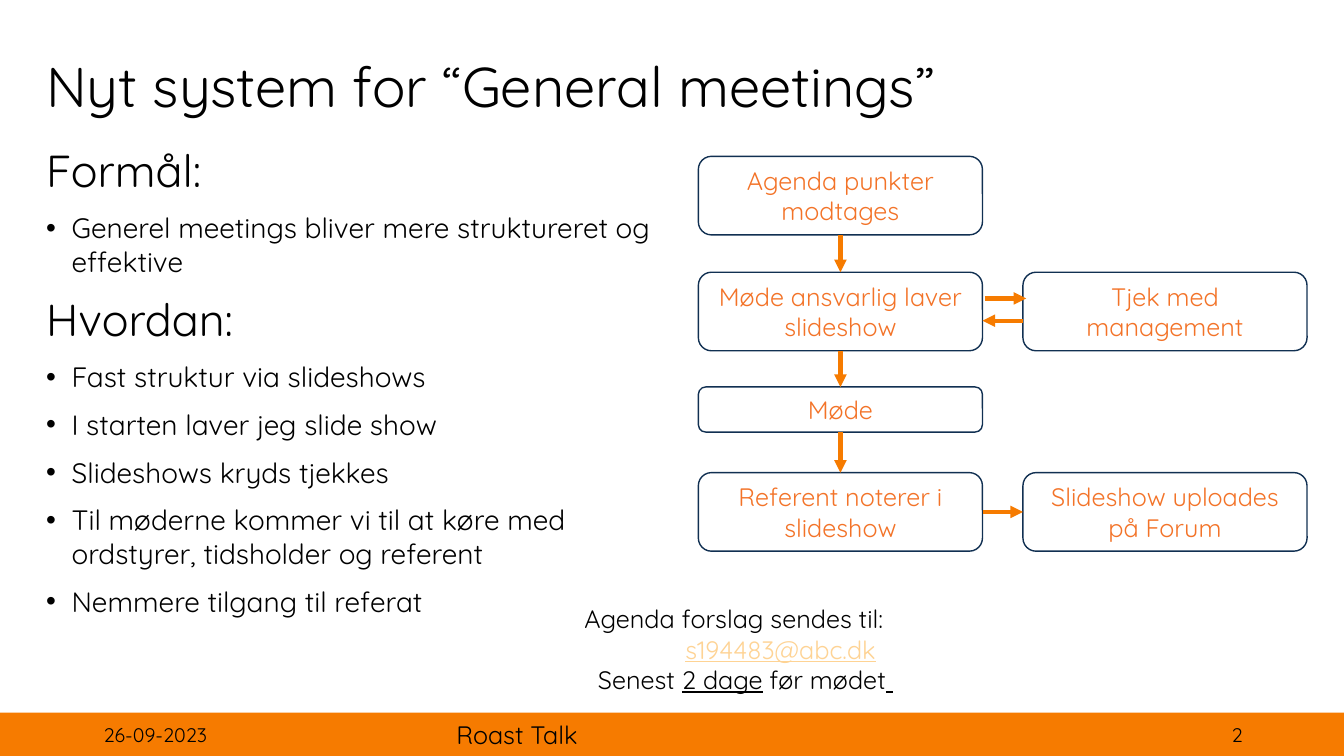
from lxml.etree import SubElement
from pptx import Presentation
from pptx.dml.color import RGBColor
from pptx.enum.shapes import MSO_CONNECTOR, MSO_SHAPE
from pptx.enum.text import MSO_ANCHOR, MSO_AUTO_SIZE, PP_ALIGN
from pptx.oxml.ns import qn
from pptx.util import Cm, Pt

FONT = "Quicksand"
BLACK, WHITE, ORANGE = "000000", "FFFFFF", "F67B00"
BOX_TEXT, BOX_LINE, MAIL = "F37328", "113052", "FED394"
TOP, LEFT, BOTTOM, RIGHT = range(4)


def rgb(hex_color):
    return RGBColor.from_string(hex_color)


class SlideBuilder:
    def __init__(self, slide):
        self.slide = slide
        self.shapes = slide.shapes

    def style(self, paragraph, size, color=BLACK, align=PP_ALIGN.LEFT):
        paragraph.alignment = align
        font = paragraph.font
        font.name, font.size = FONT, Pt(size)
        font.color.rgb = rgb(color)

    def place(self, shape, left, top, width, height):
        shape.left, shape.top = Cm(left), Cm(top)
        shape.width, shape.height = Cm(width), Cm(height)

    def title(self, text, *area):
        title = self.shapes.title
        self.place(title, *area)
        frame = title.text_frame
        frame.text = text
        frame.auto_size = MSO_AUTO_SIZE.NONE
        frame.vertical_anchor = MSO_ANCHOR.MIDDLE
        self.style(frame.paragraphs[0], 40)
        frame.paragraphs[0].line_spacing = 0.9

    def body(self, sections, *area):
        """Fill the body placeholder with headings, each followed by its bullets."""
        body = self.slide.placeholders[1]
        self.place(body, *area)
        frame = body.text_frame
        lines = []
        for heading, bullets in sections:
            lines += [(heading, False)] + [(bullet, True) for bullet in bullets]
        frame.text = "\n".join(text for text, _ in lines)
        frame.auto_size = MSO_AUTO_SIZE.NONE
        for paragraph, (_, bulleted) in zip(frame.paragraphs, lines):
            self.style(paragraph, 20 if bulleted else 32)
            paragraph.space_before = Pt(10)
            properties = paragraph._p.get_or_add_pPr()
            indent = Cm(0.64) if bulleted else 0
            properties.set("marL", str(indent))
            properties.set("indent", str(-indent))
            if bulleted:
                SubElement(properties, qn("a:buFont")).set("typeface", "Arial")
                SubElement(properties, qn("a:buChar")).set("char", "•")
            else:
                SubElement(properties, qn("a:buNone"))
            # The schema wants the default run properties after the bullet.
            properties.append(properties.find(qn("a:defRPr")))

    def band(self, color, *area):
        band = self.shapes.add_shape(MSO_SHAPE.RECTANGLE, *map(Cm, area))
        band.shadow.inherit = False
        band.fill.solid()
        band.fill.fore_color.rgb = rgb(color)
        band.line.fill.background()

    def label(self, text, size, *area, align=PP_ALIGN.LEFT):
        frame = self.shapes.add_textbox(*map(Cm, area)).text_frame
        frame.word_wrap = True
        frame.vertical_anchor = MSO_ANCHOR.MIDDLE
        frame.text = text
        self.style(frame.paragraphs[0], size, align=align)

    def note(self, lines, *area):
        """Add lines of (indent, runs), where a run is (text, colour, underline)."""
        frame = self.shapes.add_textbox(*map(Cm, area)).text_frame
        frame.word_wrap = True
        for index, (indent, runs) in enumerate(lines):
            paragraph = frame.add_paragraph() if index else frame.paragraphs[0]
            self.style(paragraph, 18)
            paragraph._p.get_or_add_pPr().set("marL", str(Cm(indent)))
            for text, color, underline in runs:
                run = paragraph.add_run()
                run.text = text
                run.font.color.rgb = rgb(color)
                run.font.underline = underline

    def step(self, text, *area):
        step = self.shapes.add_shape(MSO_SHAPE.ROUNDED_RECTANGLE, *map(Cm, area))
        step.shadow.inherit = False
        step.fill.solid()
        step.fill.fore_color.rgb = rgb(WHITE)
        step.line.color.rgb = rgb(BOX_LINE)
        step.line.width = Pt(1)
        step.text_frame.word_wrap = True
        step.text_frame.text = text
        self.style(step.text_frame.paragraphs[0], 18, BOX_TEXT, PP_ALIGN.CENTER)
        return step

    def arrow(self, *ends):
        arrow = self.shapes.add_connector(MSO_CONNECTOR.STRAIGHT, *map(Cm, ends))
        arrow.line.color.rgb = rgb(ORANGE)
        arrow.line.width = Pt(3)
        SubElement(arrow.line._get_or_add_ln(), qn("a:tailEnd")).set("type", "triangle")
        SubElement(arrow._element.spPr, qn("a:effectLst"))
        return arrow

    def join(self, source, source_side, target, target_side):
        arrow = self.arrow(0, 0, 0, 0)
        arrow.begin_connect(source, source_side)
        arrow.end_connect(target, target_side)


def main():
    presentation = Presentation()
    presentation.slide_width, presentation.slide_height = Cm(33.87), Cm(19.05)
    slide = SlideBuilder(presentation.slides.add_slide(presentation.slide_layouts[1]))

    slide.band(ORANGE, 0, 17.96, 33.87, 1.09)
    slide.title("Nyt system for “General meetings”", 0.91, 0.41, 28.52, 3.68)
    slide.body([
        ("Formål:", ["Generel meetings bliver mere struktureret og effektive"]),
        ("Hvordan:", [
            "Fast struktur via slideshows",
            "I starten laver jeg slide show",
            "Slideshows kryds tjekkes",
            "Til møderne kommer vi til at køre med ordstyrer, tidsholder og referent",
            "Nemmere tilgang til referat",
        ]),
    ], 0.91, 3.48, 16.03, 13.92)

    footer_top, footer_height = 18, 1.02
    slide.label("26-09-2023", 14, 2.36, footer_top, 7.62, footer_height)
    slide.label("Roast Talk", 18, 11.25, footer_top, 11.43, footer_height)
    slide.label("2", 14, 23.95, footer_top, 7.62, footer_height, align=PP_ALIGN.RIGHT)

    main_left, side_left, width, height = 17.6, 25.78, 7.16, 1.98
    agenda = slide.step("Agenda punkter modtages", main_left, 3.94, width, height)
    draft = slide.step("Møde ansvarlig laver slideshow", main_left, 6.86, width, height)
    slide.step("Tjek med management", side_left, 6.86, width, height)
    meeting = slide.step("Møde", main_left, 9.75, width, 1.14)
    minutes = slide.step("Referent noterer i slideshow", main_left, 11.91, width, height)
    upload = slide.step("Slideshow uploades på Forum", side_left, 11.91, width, height)

    for source, target in [(agenda, draft), (draft, meeting), (meeting, minutes)]:
        slide.join(source, BOTTOM, target, TOP)
    slide.join(minutes, RIGHT, upload, LEFT)
    slide.arrow(24.82, 7.52, 25.86, 7.52)
    slide.arrow(side_left, 8.08, 24.76, 8.08)

    slide.note([
        (0, [("Agenda forslag sendes til:", BLACK, False)]),
        (2.54, [("s194483@abc.dk", MAIL, True)]),
        (0.34, [
            ("Senest ", BLACK, False),
            ("2 dage", BLACK, True),
            (" før mødet", BLACK, False),
            (" ", BLACK, True),
        ]),
    ], 14.48, 15.09, 10.29, 2.6)

    presentation.save("out.pptx")


if __name__ == "__main__":
    main()
